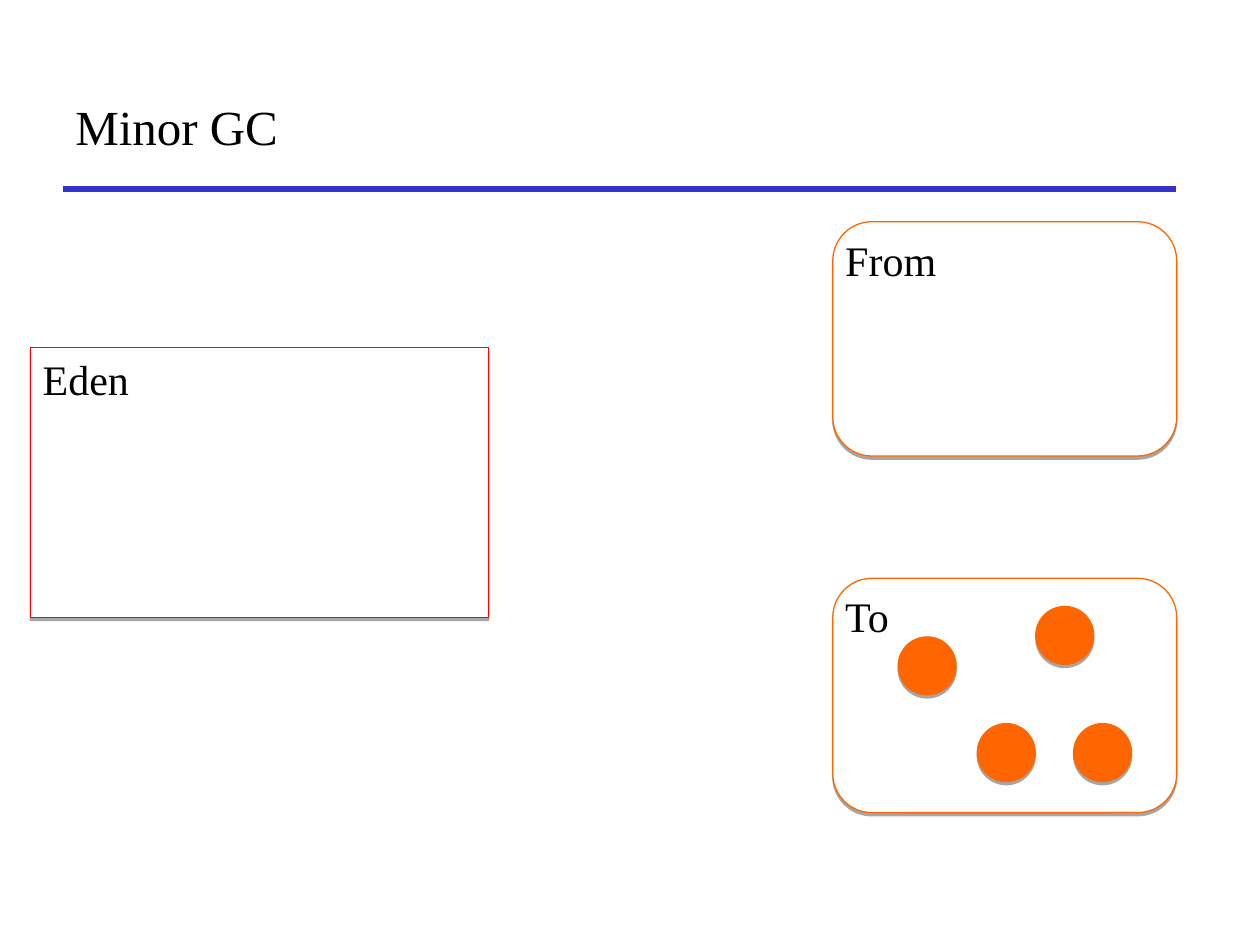
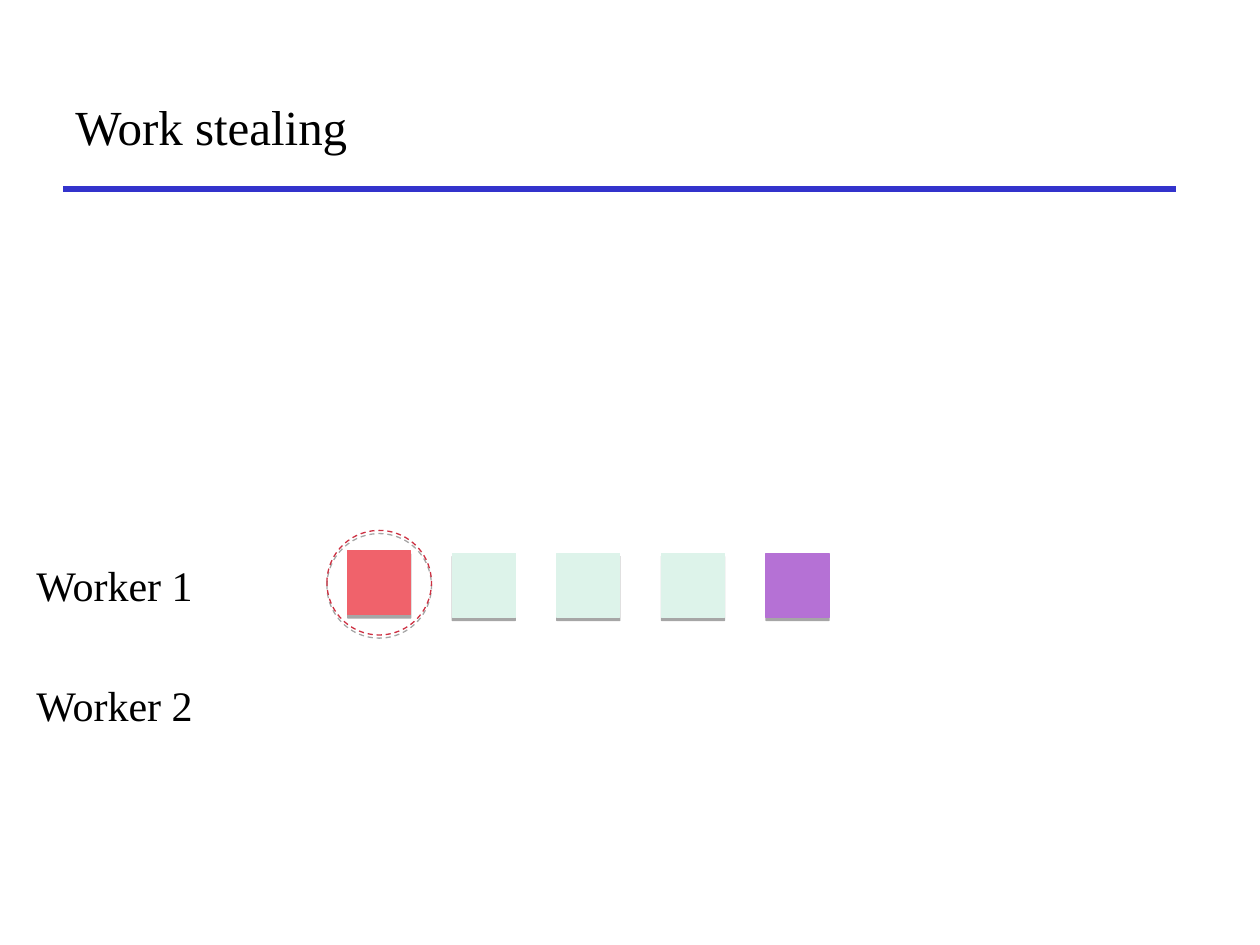
from typing import NamedTuple

from lxml.etree import SubElement
from pptx import Presentation
from pptx.dml.color import RGBColor
from pptx.enum.dml import MSO_LINE
from pptx.enum.shapes import MSO_CONNECTOR, MSO_SHAPE
from pptx.enum.text import MSO_ANCHOR, PP_ALIGN
from pptx.oxml.ns import qn
from pptx.util import Inches, Pt

BLACK = RGBColor(0x00, 0x00, 0x00)
WHITE = RGBColor(0xFF, 0xFF, 0xFF)
RULE_BLUE = RGBColor(0x33, 0x33, 0xCC)
EDEN_RED = RGBColor(0xFF, 0x00, 0x00)
SURVIVOR_ORANGE = RGBColor(0xFF, 0x66, 0x00)
TAKEN_RED = RGBColor(0xF0, 0x62, 0x6B)
RING_RED = RGBColor(0xCD, 0x30, 0x42)
WAITING_GREEN = RGBColor(0xDD, 0xF3, 0xEA)
LAST_PURPLE = RGBColor(0xB5, 0x71, 0xD5)

FONT = "Times New Roman"
COLUMN = ROW = Inches(1)
COLUMNS, ROWS = 10, 7.5


class Box(NamedTuple):
    """An area in columns and rows of the slide grid."""
    left: float
    top: float
    width: float
    height: float

    def emu(self):
        return (round(self.left * COLUMN), round(self.top * ROW),
                round(self.width * COLUMN), round(self.height * ROW))

    def at_share(self, across, down, width, height):
        """A box whose corner lies at the given shares of this one."""
        return Box(self.left + across * self.width,
                   self.top + down * self.height, width, height)

    def grown(self, width, height):
        """A box of the given size with the same centre."""
        return Box(self.left + (self.width - width) / 2,
                   self.top + (self.height - height) / 2, width, height)


HEADER = Box(0.5, 0.5, 8.83, 1)
EDEN = Box(0.24, 2.76, 3.64, 2.14)
FROM = Box(6.61, 1.76, 2.73, 1.86)
TO = FROM._replace(top=4.59)
WORKERS = Box(0.19, 4.39, 6.39, 1.45)

SURVIVOR_PLACES = [(0.19, 0.25), (0.42, 0.62), (0.59, 0.12), (0.7, 0.62)]
SURVIVOR_SIZE = 0.46
LABEL_HEIGHT = 0.5
WORKER_PITCH = 0.95
TASK_START, TASK_PITCH = 2.57, 0.83
TASK_WIDTH, TASK_HEIGHT = 0.5, 0.51
TAKEN_LIFT = 0.02
RING_SIZE = 0.83


def add_text(slide, box, text, size=24, anchor=MSO_ANCHOR.TOP, wrap=True):
    frame = slide.shapes.add_textbox(*box.emu()).text_frame
    frame.word_wrap = wrap
    frame.vertical_anchor = anchor
    frame.text = text
    paragraph = frame.paragraphs[0]
    paragraph.alignment = PP_ALIGN.LEFT
    font = paragraph.runs[0].font
    font.name, font.size = FONT, Pt(size)
    font.color.rgb = BLACK


def add_shadowed(slide, preset, box, line, fill=None):
    """Add a shape with a thin outline and a hard shadow just below it."""
    shape = slide.shapes.add_shape(preset, *box.emu())
    if fill is None:
        shape.fill.background()
    else:
        shape.fill.solid()
        shape.fill.fore_color.rgb = fill
    shape.line.color.rgb = line
    shape.line.width = Pt(0.75)
    shape.shadow.inherit = False
    effects = shape._element.spPr.find(qn("a:effectLst"))
    shadow = SubElement(effects, qn("a:outerShdw"), blurRad="0",
                        dist=str(Pt(1.8)), dir="5400000", rotWithShape="0")
    shade = SubElement(shadow, qn("a:srgbClr"), val=str(BLACK))
    SubElement(shade, qn("a:alpha"), val="35000")
    return shape


def add_header(slide, box, title):
    left, top, width, height = box.emu()
    rule = slide.shapes.add_connector(MSO_CONNECTOR.STRAIGHT, left,
                                      top + height, left + width, top + height)
    rule.line.color.rgb = RULE_BLUE
    rule.line.width = Pt(3)
    SubElement(rule._element.spPr, qn("a:effectLst"))
    add_text(slide, box, title, size=28, anchor=MSO_ANCHOR.MIDDLE)


def add_memory_space(slide, box, name, preset, line, label_drop=0):
    add_shadowed(slide, preset, box, line, WHITE)
    label = Box(box.left, box.top + label_drop, box.width / 2, LABEL_HEIGHT)
    add_text(slide, label, name)


def add_survivors(slide, box):
    for across, down in SURVIVOR_PLACES:
        place = box.at_share(across, down, SURVIVOR_SIZE, SURVIVOR_SIZE)
        add_shadowed(slide, MSO_SHAPE.OVAL, place,
                     SURVIVOR_ORANGE, SURVIVOR_ORANGE)


def add_worker_names(slide, box, names):
    for row, name in enumerate(names):
        label = Box(box.left, box.top + row * WORKER_PITCH, 1.7, LABEL_HEIGHT)
        add_text(slide, label, name, wrap=False)


def add_task_queue(slide, box, colours):
    """Lay the tasks out in one row and ring the one being taken."""
    for position, colour in enumerate(colours):
        taken = position == 0
        task = Box(box.left + TASK_START + position * TASK_PITCH,
                   box.top - TAKEN_LIFT * taken, TASK_WIDTH, TASK_HEIGHT)
        add_shadowed(slide, MSO_SHAPE.RECTANGLE, task, colour, colour)
        if taken:
            ring = add_shadowed(slide, MSO_SHAPE.OVAL,
                                task.grown(RING_SIZE, RING_SIZE), RING_RED)
            ring.line.dash_style = MSO_LINE.DASH


def build_minor_gc(slide):
    add_header(slide, HEADER, "Minor GC")
    add_memory_space(slide, EDEN, "Eden", MSO_SHAPE.RECTANGLE, EDEN_RED)
    for box, name in ((FROM, "From"), (TO, "To")):
        add_memory_space(slide, box, name, MSO_SHAPE.ROUNDED_RECTANGLE,
                         SURVIVOR_ORANGE, label_drop=0.05)
    add_survivors(slide, TO)


def build_work_stealing(slide):
    add_header(slide, HEADER, "Work stealing")
    add_worker_names(slide, WORKERS, ["Worker 1", "Worker 2"])
    add_task_queue(slide, WORKERS,
                   [TAKEN_RED, *[WAITING_GREEN] * 3, LAST_PURPLE])


def main():
    deck = Presentation()
    deck.slide_width = round(COLUMNS * COLUMN)
    deck.slide_height = round(ROWS * ROW)
    blank = deck.slide_layouts[6]
    for build in (build_minor_gc, build_work_stealing):
        build(deck.slides.add_slide(blank))
    deck.save("out.pptx")


if __name__ == "__main__":
    main()
